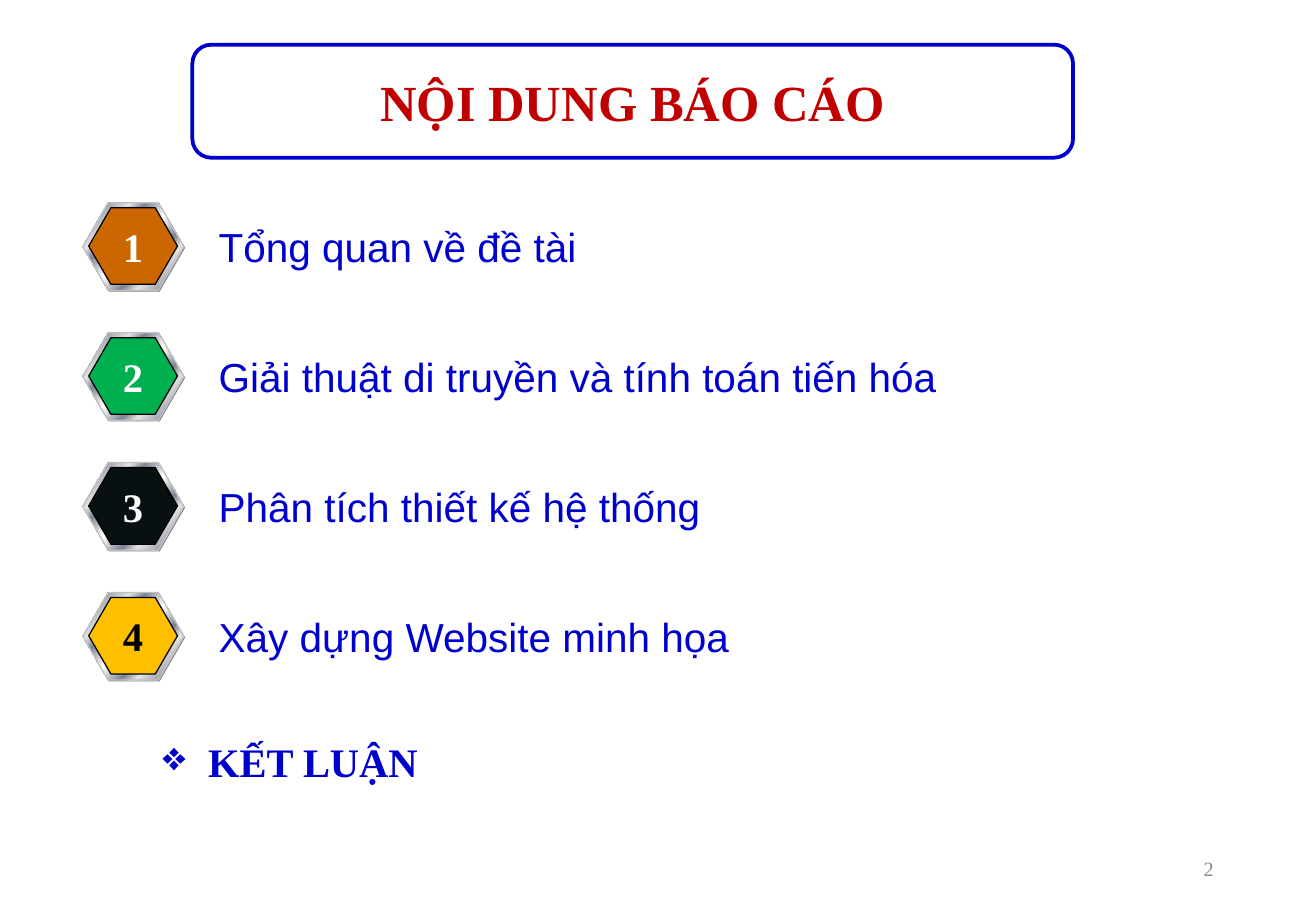
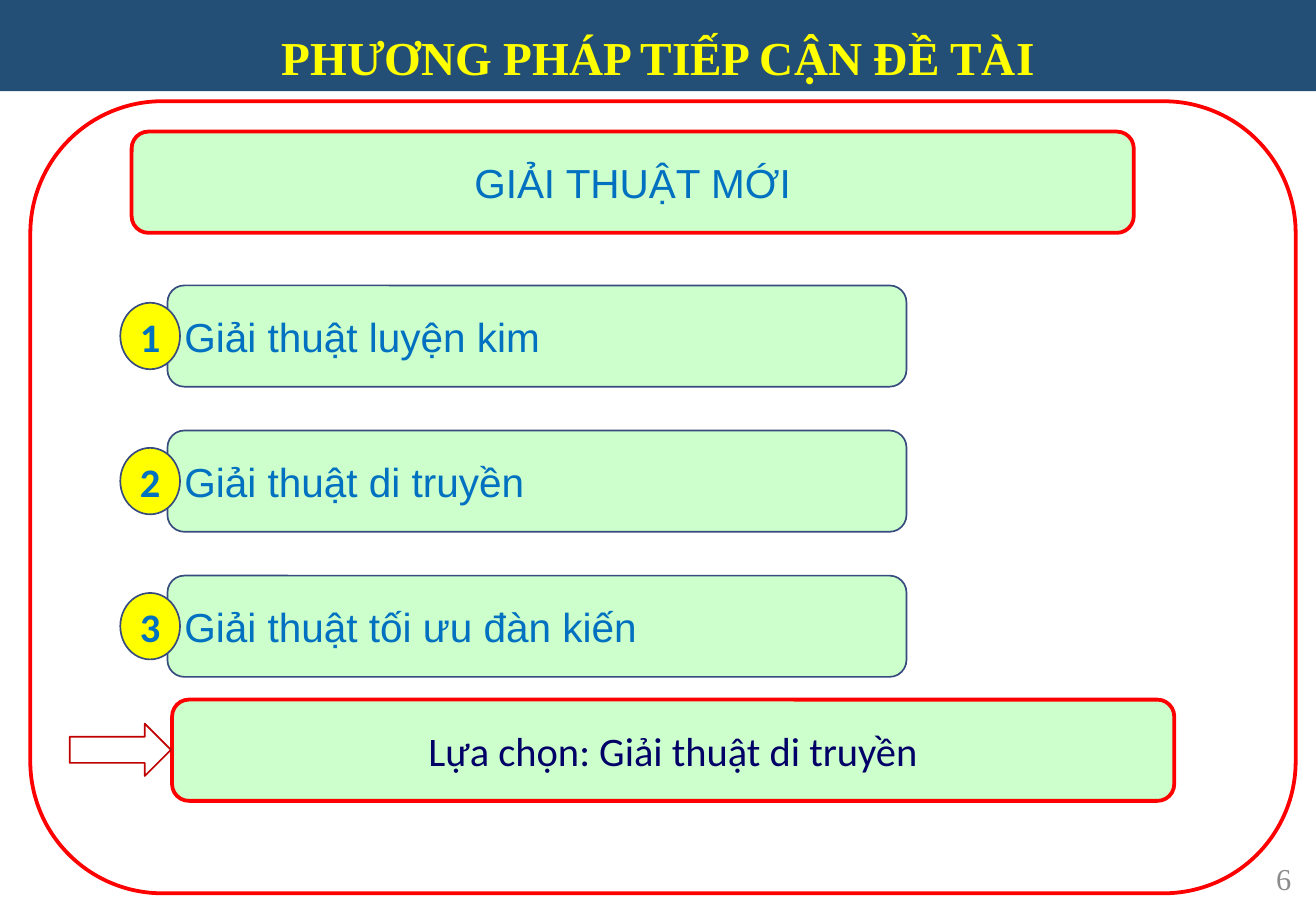
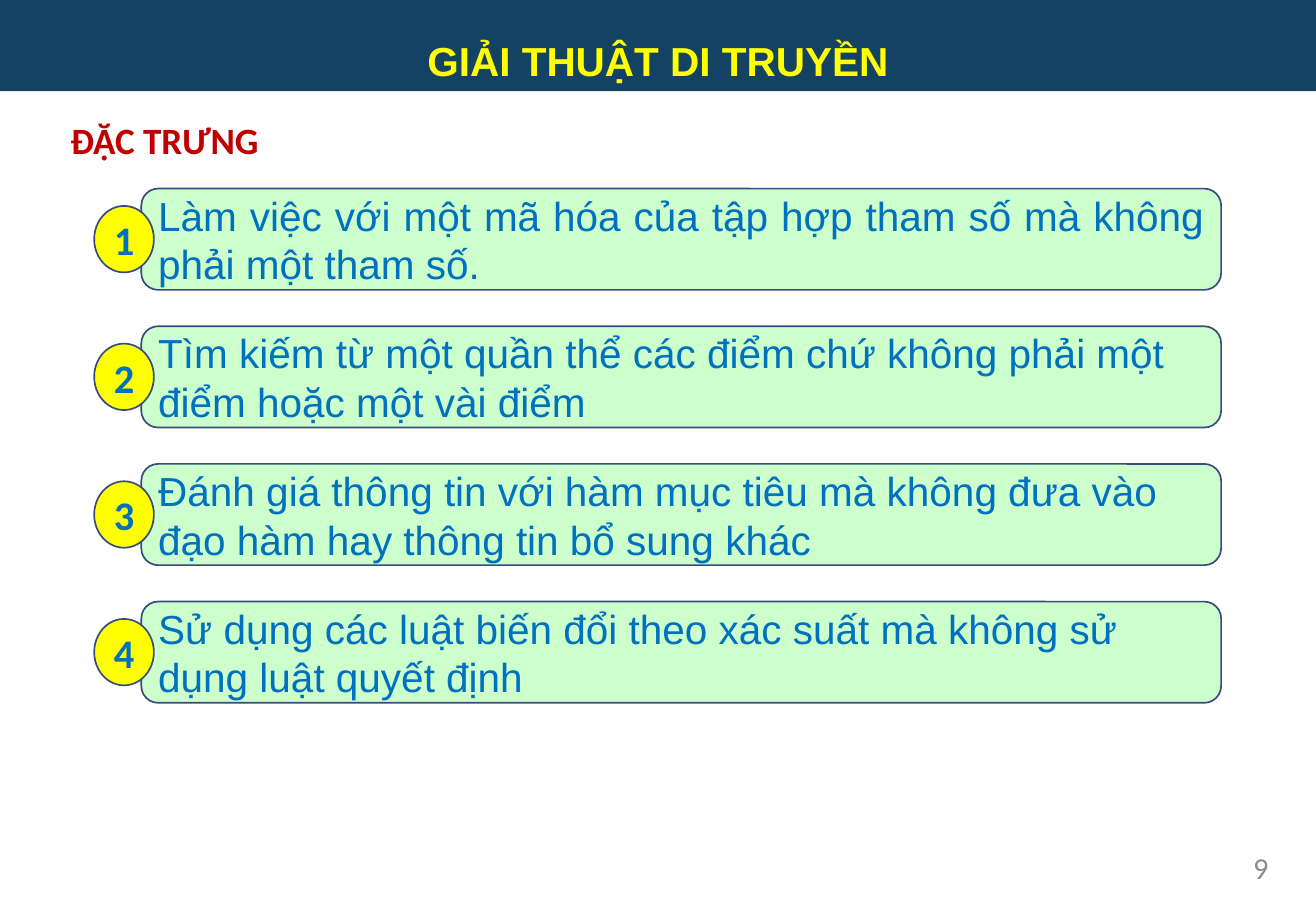
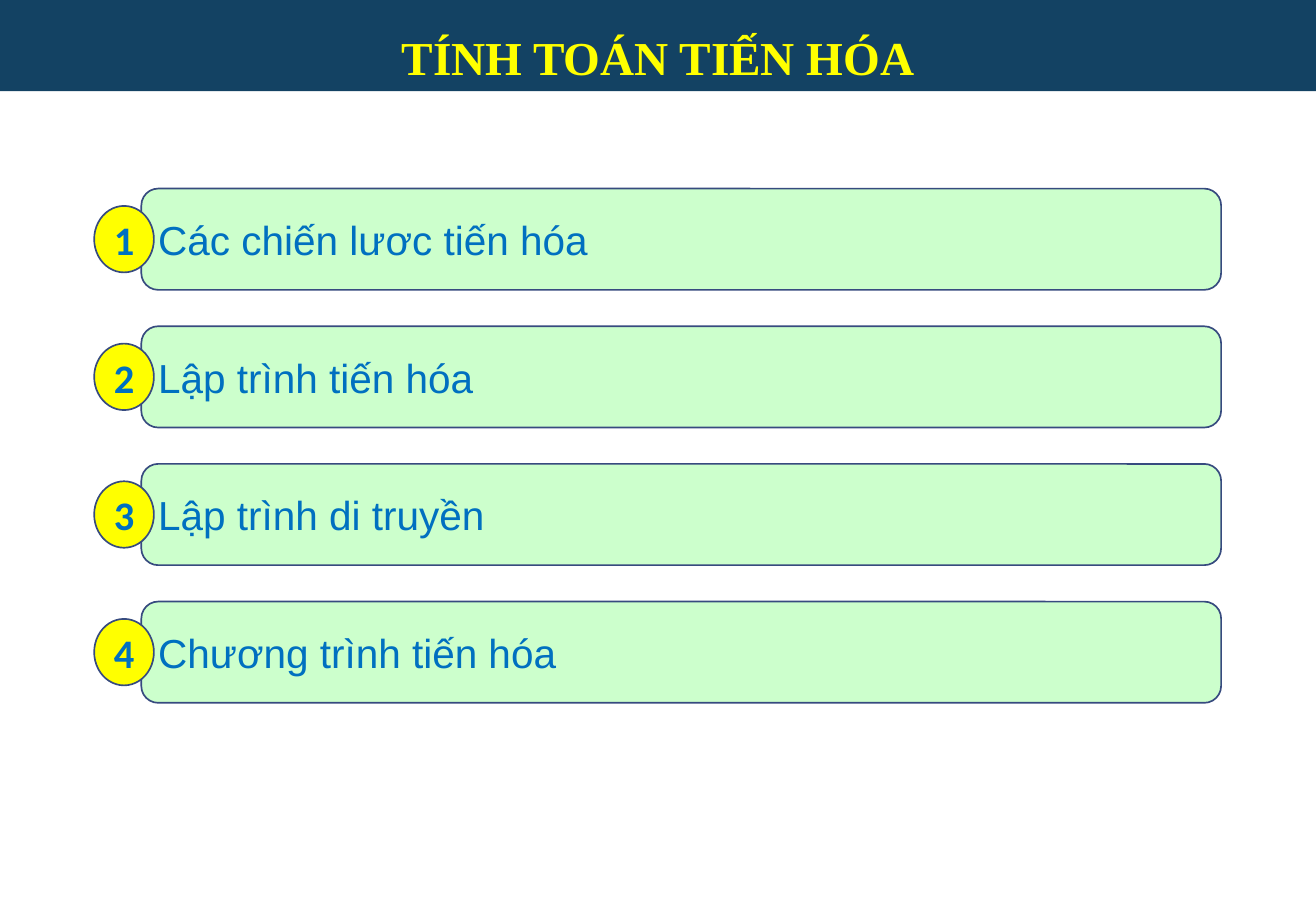
from collections import namedtuple
from dataclasses import dataclass

from lxml.etree import SubElement
from pptx import Presentation
from pptx.dml.color import RGBColor
from pptx.enum.shapes import MSO_SHAPE as Preset
from pptx.enum.text import MSO_ANCHOR as Anchor, MSO_AUTO_SIZE as AutoSize, PP_ALIGN as Align
from pptx.oxml.ns import qn
from pptx.util import Pt

Box = namedtuple("Box", "left top width height")


@dataclass(frozen=True)
class Theme:
    """Colours, fonts, type sizes and line widths of the presentation."""
    white: str = "FFFFFF"
    black: str = "000000"
    blue: str = "0000CC"
    navy: str = "000066"
    text_blue: str = "0070C0"
    outline: str = "374B7F"
    dark_red: str = "C00000"
    red: str = "FF0000"
    yellow: str = "FFFF00"
    mint: str = "CCFFCC"
    grey: str = "8C8C8C"
    shade: str = "808080"
    rim: str = "C0C0C0"
    band: str = "134263"
    band_light: str = "234F77"
    orange: str = "CC6600"
    green: str = "00B050"
    ink: str = "091012"
    amber: str = "FFC000"
    sans: str = "Arial"
    serif: str = "Times New Roman"
    plain: str = "Calibri"
    cover_size: int = 30
    title_size: int = 28
    body_size: int = 24
    heading_size: int = 22
    page_size: int = 18
    small_size: int = 12
    thin: float = 1
    hairline: float = 0.75
    thick: float = 2.25


THEME = Theme()
SLIDE = Box(0, 0, 780, 540)
BAND = Box(0, 0, 780, 54)
METAL_STOPS = (
    (0, "E6E6E6"), (8, "7D8496"), (26, "E6E6E6"), (34, "7D8496"),
    (46, "E6E6E6"), (50, "FFFFFF"), (54, "E6E6E6"), (66, "7D8496"),
    (74, "E6E6E6"), (92, "7D8496"), (100, "E6E6E6"),
)


def points(box):
    """Return the four lengths of a box as point lengths."""
    return [Pt(length) for length in box]


def put_text(shape, text, *, font=THEME.sans, size=THEME.body_size, color=THEME.text_blue,
             bold=False, align=Align.LEFT, anchor=Anchor.MIDDLE, inset=None, spacing=None):
    """Write one formatted paragraph into a shape and return the paragraph."""
    frame = shape.text_frame
    frame.auto_size = AutoSize.NONE
    frame.word_wrap = True
    frame.vertical_anchor = anchor
    if inset is not None:
        frame.margin_left = frame.margin_right = Pt(inset)
        frame.margin_top = frame.margin_bottom = Pt(inset)
    paragraph = frame.paragraphs[0]
    paragraph.alignment = align
    if spacing is not None:
        paragraph.space_before = paragraph.space_after = Pt(spacing)
    run = paragraph.add_run()
    run.text = text
    run.font.name = font
    run.font.size = Pt(size)
    run.font.bold = bold
    run.font.color.rgb = RGBColor.from_string(color)
    return paragraph


def add_text(shapes, box, text, **text_format):
    """Add a text box and return its paragraph."""
    return put_text(shapes.add_textbox(*points(box)), text, **text_format)


def add_preset(shapes, preset, box, fill=None, line=None, width=THEME.thin):
    """Add a preset shape with a plain fill and outline."""
    shape = shapes.add_shape(preset, *points(box))
    shape.shadow.inherit = False
    if fill:
        shape.fill.solid()
        shape.fill.fore_color.rgb = RGBColor.from_string(fill)
    else:
        shape.fill.background()
    if line:
        shape.line.color.rgb = RGBColor.from_string(line)
        shape.line.width = Pt(width)
    else:
        shape.line.fill.background()
    return shape


def add_hexagon(shapes, box, fill, line=None):
    """Add a regular hexagon."""
    hexagon = add_preset(shapes, Preset.HEXAGON, box, fill, line, THEME.hairline)
    hexagon.adjustments[0] = 0.29
    return hexagon


def fill_metal(shape):
    """Fill a shape with a diagonal metallic gradient."""
    shape.fill.gradient()
    shape.fill.gradient_angle = 315
    stop_list = next(shape.element.iter(qn("a:gsLst")))
    for stop in list(stop_list):
        stop_list.remove(stop)
    for position, color in METAL_STOPS:
        stop = SubElement(stop_list, qn("a:gs"), pos=str(position * 1000))
        SubElement(stop, qn("a:srgbClr"), val=color)


def add_bullet(paragraph, character, indent):
    """Give a paragraph a hanging bullet."""
    properties = paragraph._p.get_or_add_pPr()
    properties.set("marL", str(Pt(indent)))
    properties.set("indent", str(-Pt(indent)))
    SubElement(properties, qn("a:buChar"), char=character)


def place_title(slide, box, text, **text_format):
    """Move the title placeholder to a box and write the title."""
    title = slide.shapes.title
    title.left, title.top, title.width, title.height = points(box)
    put_text(title, text, bold=True, align=Align.CENTER, **text_format)
    return title


def add_slide(presentation):
    """Add a title-only slide."""
    return presentation.slides.add_slide(presentation.slide_layouts[5])


def add_band_slide(presentation, text, band=THEME.band, font=THEME.serif, size=THEME.title_size):
    """Add a slide whose title is a coloured band across the top."""
    slide = add_slide(presentation)
    title = place_title(slide, BAND, text, font=font, size=size,
                        color=THEME.yellow, anchor=Anchor.BOTTOM)
    title.fill.solid()
    title.fill.fore_color.rgb = RGBColor.from_string(band)
    return slide


def add_page_number(slide, right, top, number, font=THEME.serif, size=THEME.page_size):
    """Add a right-aligned page number that ends at the given edge."""
    width = 176
    add_text(slide.shapes, Box(right - width, top, width, 29), number,
             font=font, size=size, color=THEME.grey, align=Align.RIGHT)


def add_agenda_item(slide, box, number, text, fill, number_color):
    """Add a metal-rimmed numbered hexagon with its topic to the right."""
    shapes = slide.shapes.add_group_shape().shapes
    rim = Box(box.left, box.top, 60, box.height)
    add_hexagon(shapes, rim._replace(left=rim.left + 0.7, top=rim.top + 0.7), THEME.shade)
    fill_metal(add_hexagon(shapes, rim, THEME.shade, THEME.rim))
    core = add_hexagon(shapes, Box(rim.left + 3.6, rim.top + 3, 52.6, 45.4), fill, THEME.black)
    put_text(core, number, font=THEME.serif, color=number_color, bold=True,
             align=Align.CENTER, inset=0)
    topic = Box(box.left + 73.5, box.top + 8, box.width - 73.5, 36)
    add_text(shapes, topic, text, color=THEME.blue, anchor=Anchor.TOP)


def add_card(shapes, box, text, line=THEME.outline, width=THEME.thin, **text_format):
    """Add a rounded mint card with text."""
    card = add_preset(shapes, Preset.ROUNDED_RECTANGLE, box, THEME.mint, line, width)
    put_text(card, text, **text_format)


def add_key_card(slide, box, text, **text_format):
    """Add a card with a thick red outline and centred text."""
    add_card(slide.shapes, box, text, THEME.red, THEME.thick, align=Align.CENTER, **text_format)


def add_numbered_cards(slide, box, pitch, texts):
    """Stack cards at a fixed pitch, each overlapped by a numbered badge."""
    overlap = 28
    card_height = 60
    for index, text in enumerate(texts):
        shapes = slide.shapes.add_group_shape().shapes
        top = box.top + index * pitch
        add_card(shapes, Box(box.left + overlap, top, box.width - overlap, card_height), text,
                 align=Align.LEFT if index else Align.JUSTIFY)
        badge = add_preset(shapes, Preset.FLOWCHART_CONNECTOR,
                           Box(box.left, top + 10.3, 35.4, 39.4), THEME.yellow, THEME.outline)
        put_text(badge, str(index + 1), font=THEME.plain, bold=True,
                 align=Align.CENTER, inset=0)


def build_agenda(presentation):
    """Build the slide with the report's contents."""
    slide = add_slide(presentation)
    frame = Box(114, 26.5, 522, 67)
    add_preset(slide.shapes, Preset.ROUNDED_RECTANGLE, frame, line=THEME.blue, width=THEME.thick)
    place_title(slide, frame, "NỘI DUNG BÁO CÁO", font=THEME.serif,
                size=THEME.cover_size, color=THEME.dark_red)
    items = (
        ("Tổng quan về đề tài", THEME.orange, THEME.white),
        ("Giải thuật di truyền và tính toán tiến hóa", THEME.green, THEME.white),
        ("Phân tích thiết kế hệ thống", THEME.ink, THEME.white),
        ("Xây dựng Website minh họa", THEME.amber, THEME.black),
    )
    for index, (text, fill, number_color) in enumerate(items):
        add_agenda_item(slide, Box(49, 120.2 + index * 77, 694, 52), str(index + 1),
                        text, fill, number_color)
    conclusion = add_text(slide.shapes, Box(89.3, 433.4, 240, 36), "KẾT LUẬN", font=THEME.serif,
                          color=THEME.blue, bold=True, anchor=Anchor.TOP)
    add_bullet(conclusion, "❖", 27)
    add_page_number(slide, 726.5, 500.4, "2", size=THEME.small_size)


def build_approach(presentation):
    """Build the slide on the approach and the chosen algorithm."""
    slide = add_band_slide(presentation, "PHƯƠNG PHÁP TIẾP CẬN ĐỀ TÀI", THEME.band_light)
    add_preset(slide.shapes, Preset.ROUNDED_RECTANGLE, Box(18, 60, 750, 469.5),
               line=THEME.red, width=THEME.thick)
    add_page_number(slide, 772.5, 506.2, "6")
    add_key_card(slide, Box(78, 78, 594, 60), "GIẢI THUẬT MỚI")
    add_numbered_cards(slide, Box(71.3, 169.2, 466, 60), 86, (
        "Giải thuật luyện kim",
        "Giải thuật di truyền",
        "Giải thuật tối ưu đàn kiến",
    ))
    add_key_card(slide, Box(102, 414.7, 594, 60), "Lựa chọn: Giải thuật di truyền",
                 font=THEME.plain, color=THEME.navy)
    add_preset(slide.shapes, Preset.RIGHT_ARROW, Box(41.3, 429, 60, 31),
               THEME.white, THEME.dark_red)


def build_card_list(slide, texts):
    """Fill a band slide with full-width numbered cards."""
    add_numbered_cards(slide, Box(55.8, 111.8, 668, 60), 81.6, texts)


def build_features(presentation):
    """Build the slide on the features of the genetic algorithm."""
    slide = add_band_slide(presentation, "GIẢI THUẬT DI TRUYỀN",
                           font=THEME.sans, size=THEME.body_size)
    add_text(slide.shapes, Box(34.6, 66.2, 711, 34), "ĐẶC TRƯNG", font=THEME.plain,
             size=THEME.heading_size, color=THEME.dark_red, bold=True,
             anchor=Anchor.TOP, spacing=6)
    add_page_number(slide, 759, 499.7, "9", font=THEME.plain)
    build_card_list(slide, (
        "Làm việc với một mã hóa của tập hợp tham số mà không phải một tham số.",
        "Tìm kiếm từ một quần thể các điểm chứ không phải một điểm hoặc một vài điểm",
        "Đánh giá thông tin với hàm mục tiêu mà không đưa vào đạo hàm hay thông tin bổ sung khác",
        "Sử dụng các luật biến đổi theo xác suất mà không sử dụng luật quyết định",
    ))


def build_evolution(presentation):
    """Build the slide on evolutionary computation."""
    slide = add_band_slide(presentation, "TÍNH TOÁN TIẾN HÓA")
    build_card_list(slide, (
        "Các chiến lươc tiến hóa",
        "Lập trình tiến hóa",
        "Lập trình di truyền",
        "Chương trình tiến hóa",
    ))


def main():
    """Build and save the presentation."""
    presentation = Presentation()
    presentation.slide_width = Pt(SLIDE.width)
    presentation.slide_height = Pt(SLIDE.height)
    for build in (build_agenda, build_approach, build_features, build_evolution):
        build(presentation)
    presentation.save("out.pptx")


if __name__ == "__main__":
    main()
